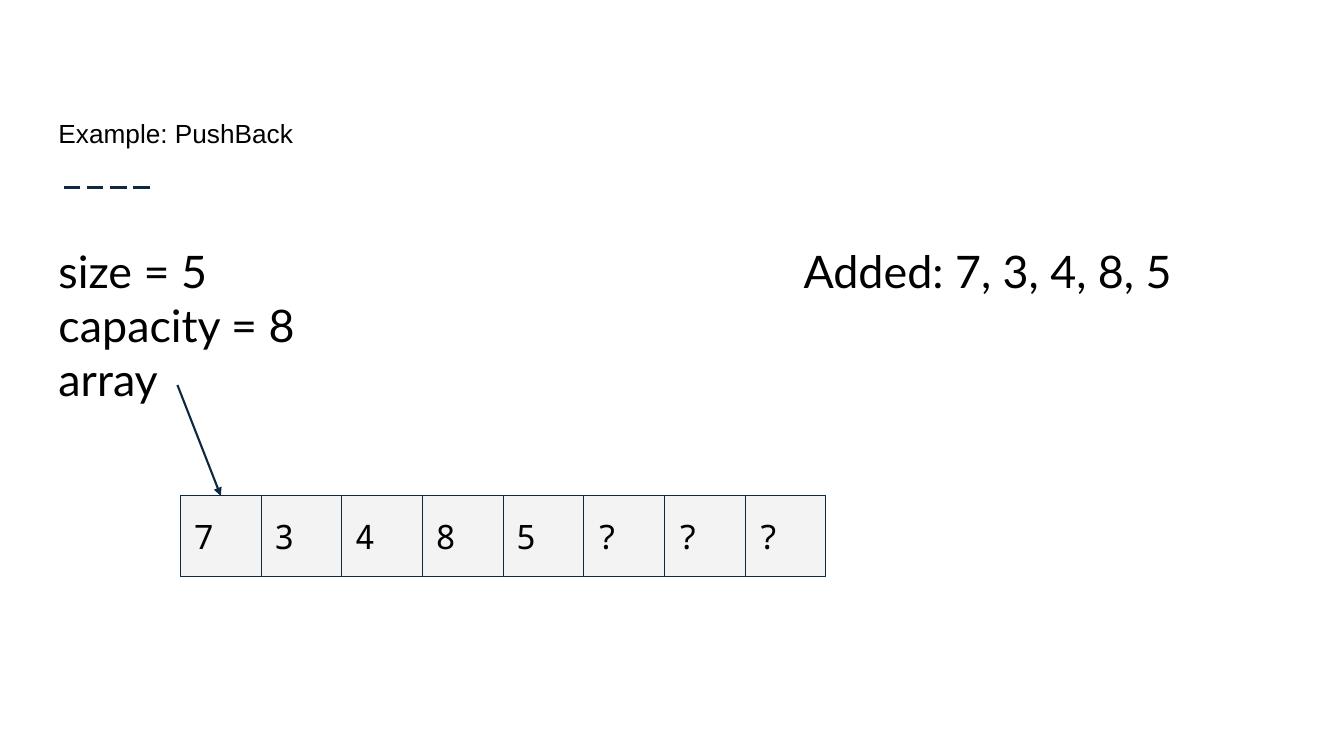
"""Build the PushBack example slide showing a dynamic array."""
from dataclasses import dataclass

from lxml import etree
from pptx import Presentation
from pptx import util as u
from pptx.dml.color import RGBColor
from pptx.enum import dml, shapes, text
from pptx.oxml import ns
from pptx.shapes.autoshape import Shape
from pptx.shapes.connector import Connector
from pptx.slide import Slide

NAVY, BLACK, GREY = "0E2841", "000000", "F3F3F3"
CELL_LEFT, CELL_TOP, CELL_SIZE = 1.79, 4.92, 0.8
CELL_VALUES = "73485???"


@dataclass(frozen=True)
class Label:
    """Text with its box in inches and its font."""
    text: str
    left: float
    top: float
    width: float
    height: float
    size: float
    font: str
    anchor: text.MSO_ANCHOR = text.MSO_ANCHOR.TOP


@dataclass(frozen=True)
class Rule:
    """Straight line between two points in inches."""
    x1: float
    y1: float
    x2: float
    y2: float


LABELS = [
    Label("Example: PushBack", 0.45, 0.54, 12.42, 1.07, 18.7, "Arial", text.MSO_ANCHOR.BOTTOM),
    Label("size = 5\vcapacity = 8\varray", 0.45, 2.29, 2.89, 1.95, 32, "Lato"),
    Label("Added: 7, 3, 4, 8, 5", 7.84, 2.29, 5.03, 0.92, 32, "Lato"),
]
CELLS = [
    Label(value, CELL_LEFT + i * CELL_SIZE, CELL_TOP, CELL_SIZE, CELL_SIZE,
          24, "Noto Sans Mono", text.MSO_ANCHOR.MIDDLE)
    for i, value in enumerate(CELL_VALUES)
]
TITLE_RULE = Rule(0.63, 1.86, 1.52, 1.86)
ARRAY_POINTER = Rule(1.76, 3.82, CELL_LEFT + CELL_SIZE / 2, CELL_TOP)


def color(value: str) -> RGBColor:
    """Turn a hex string into a colour."""
    return RGBColor.from_string(value)


def box(label: Label) -> list[u.Length]:
    """Return left, top, width and height of a label."""
    return [u.Inches(v) for v in (label.left, label.top, label.width, label.height)]


def write(sp: Shape, label: Label) -> None:
    """Set and format the text of a shape."""
    tf = sp.text_frame
    tf.word_wrap = True
    tf.vertical_anchor = label.anchor
    tf.margin_left = tf.margin_right = tf.margin_top = tf.margin_bottom = u.Inches(0.13)
    tf.text = label.text
    for p in tf.paragraphs:
        p.alignment = text.PP_ALIGN.LEFT
        for r in p.runs:
            r.font.size = u.Pt(label.size)
            r.font.name = label.font
            r.font.color.rgb = color(BLACK)


def add_label(s: Slide, label: Label) -> None:
    """Add a text box."""
    write(s.shapes.add_textbox(*box(label)), label)


def add_cell(s: Slide, cell: Label) -> None:
    """Add one array cell."""
    sp = s.shapes.add_shape(shapes.MSO_SHAPE.RECTANGLE, *box(cell))
    sp.shadow.inherit = False
    sp.fill.solid()
    sp.fill.fore_color.rgb = color(GREY)
    sp.line.color.rgb = color(NAVY)
    sp.line.width = u.Pt(0.75)
    write(sp, cell)


def add_rule(s: Slide, rule: Rule) -> Connector:
    """Add a navy line without a shadow."""
    ends = [u.Inches(v) for v in (rule.x1, rule.y1, rule.x2, rule.y2)]
    cn = s.shapes.add_connector(shapes.MSO_CONNECTOR.STRAIGHT, *ends)
    cn.line.color.rgb = color(NAVY)
    cn.line.width = u.Pt(1.5)
    etree.SubElement(cn._element.spPr, ns.qn("a:effectLst"))
    return cn


def main() -> None:
    """Draw and save the slide."""
    prs = Presentation()
    prs.slide_width, prs.slide_height = u.Inches(13.33), u.Inches(7.5)
    s = prs.slides.add_slide(prs.slide_layouts[6])
    add_rule(s, TITLE_RULE).line.dash_style = dml.MSO_LINE.LONG_DASH
    for label in LABELS:
        add_label(s, label)
    for cell in CELLS:
        add_cell(s, cell)
    pointer = add_rule(s, ARRAY_POINTER)
    etree.SubElement(pointer.line._get_or_add_ln(), ns.qn("a:tailEnd"), type="triangle")
    prs.save("out.pptx")


if __name__ == "__main__":
    main()
